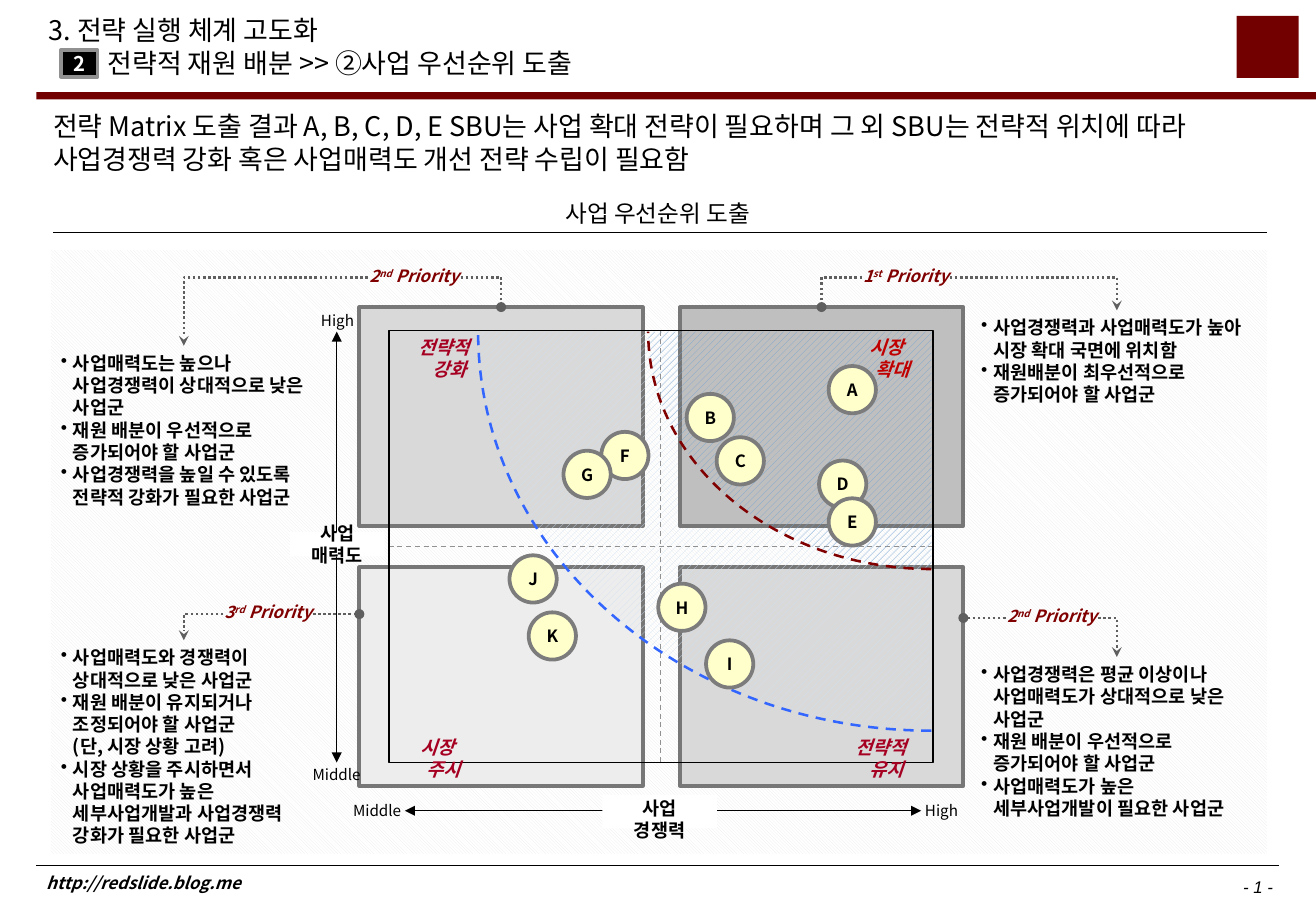
import copy
from dataclasses import dataclass

import pptx
import pptx.dml.color
import pptx.enum.dml
import pptx.enum.shapes
import pptx.enum.text
import pptx.oxml.ns
import pptx.util
from lxml import etree

Pt = pptx.util.Pt
qn = pptx.oxml.ns.qn
SHAPE = pptx.enum.shapes.MSO_SHAPE
LINK = pptx.enum.shapes.MSO_CONNECTOR
DASH = pptx.enum.dml.MSO_LINE
PATTERN = pptx.enum.dml.MSO_PATTERN
ALIGN = pptx.enum.text.PP_ALIGN
ANCHOR = pptx.enum.text.MSO_ANCHOR
FONT = "Noto Sans CJK KR"
TOP, LEFT, BOTTOM, RIGHT = range(4)


@dataclass
class Label:
    text: str
    box: tuple
    fmt: dict
    fill: str = ""
    hang: float = 0


@dataclass
class Priority:
    text: str
    x: float
    mid: float
    w: float
    left: tuple  # x, y, arrowhead
    right: tuple


@dataclass
class Notes:
    box: tuple
    items: list


def rgb(color: str):
    return pptx.dml.color.RGBColor.from_string(color)


def fmt(size: float, color: str = "000000", **extra) -> dict:
    return {"size": Pt(size), "name": FONT, "color": color, **extra}


def write(sp, paras: list, style: dict, align=ALIGN.LEFT, anchor=ANCHOR.TOP, inset=(0, 0),
          wrap: bool = True, indents: tuple = ((0, 0),), bullet: bool = False, spacing: float = 1.0):
    """Fill a shape; text between ^ marks is superscript, paragraphs starting with ( have no bullet."""
    tf = sp.text_frame
    dx, dy = inset
    values = {"word_wrap": wrap, "vertical_anchor": anchor, "margin_left": Pt(dx),
              "margin_right": Pt(dx), "margin_top": Pt(dy), "margin_bottom": Pt(dy),
              "auto_size": pptx.enum.text.MSO_AUTO_SIZE.NONE}
    for name, value in values.items():
        setattr(tf, name, value)
    for i, text in enumerate(paras):
        p = tf.paragraphs[0] if i == 0 else tf.add_paragraph()
        p.alignment, p.line_spacing = align, spacing
        p.space_before = p.space_after = Pt(0)
        margin, indent = indents[min(i, len(indents) - 1)]
        marked = bullet and not text.startswith("(")
        pPr = p._p.get_or_add_pPr()
        pPr.set("marL", str(Pt(margin)))
        pPr.set("indent", str(Pt(indent if marked or not bullet else 0)))
        if marked:
            etree.SubElement(pPr, qn("a:buChar")).set("char", "•")
        else:
            etree.SubElement(pPr, qn("a:buNone"))
        for j, part in enumerate(text.split("^")):
            for k, line in enumerate(part.split("\v")):
                if k:
                    p.add_line_break()
                r = p.add_run()
                r.text = line
                for name, value in style.items():
                    if name == "color":
                        r.font.color.rgb = rgb(value)
                    else:
                        setattr(r.font, name, value)
                rPr = r._r.get_or_add_rPr()
                etree.SubElement(rPr, qn("a:ea")).set("typeface", style["name"])
                if j % 2:
                    rPr.set("baseline", "30000")


def paint(sp, fill: str = "", line: str = "", width: float = 2.25):
    sp.shadow.inherit = False
    if fill:
        sp.fill.solid()
        sp.fill.fore_color.rgb = rgb(fill)
    else:
        sp.fill.background()
    if line:
        sp.line.color.rgb, sp.line.width = rgb(line), Pt(width)
    else:
        sp.line.fill.background()


def add_box(s, box: tuple, fill: str = "", line: str = "", width: float = 2.25, kind=SHAPE.RECTANGLE):
    sp = s.shapes.add_shape(kind, *map(Pt, box))
    paint(sp, fill, line, width)
    return sp


def add_text(s, box: tuple, paras: list, style: dict, **layout):
    sp = s.shapes.add_textbox(*map(Pt, box))
    write(sp, paras, style, **layout)
    return sp


def hatch(sp, pattern, fore: str, back: str = "FFFFFF", clear: bool = False):
    sp.fill.patterned()
    sp.fill.pattern = pattern
    sp.fill.fore_color.rgb, sp.fill.back_color.rgb = rgb(fore), rgb(back)
    if clear:
        color = sp._element.spPr.find(".//" + qn("a:bgClr"))[0]
        etree.SubElement(color, qn("a:alpha")).set("val", "0")


def add_line(s, start: tuple, end: tuple, color: str = "000000", width: float = 0.75,
             dash=None, head: str = "", tail: str = ""):
    bent = start[0] != end[0] and start[1] != end[1]
    c = s.shapes.add_connector(LINK.ELBOW if bent else LINK.STRAIGHT, *map(Pt, start + end))
    spPr = c._element.spPr
    if bent:
        spPr.find(qn("a:prstGeom")).set("prst", "bentConnector2")
    c.line.color.rgb, c.line.width = rgb(color), Pt(width)
    if dash:
        c.line.dash_style = dash
    ln = spPr.find(qn("a:ln"))
    for tag, kind in (("a:headEnd", head), ("a:tailEnd", tail)):
        if kind:
            etree.SubElement(ln, qn(tag)).set("type", kind)
    etree.SubElement(spPr, qn("a:effectLst"))
    return c


def add_zone(s, corner: tuple, rx: float, ry: float, fore: str, line: str):
    """Hatched quarter ellipse around the top right corner; only its curve is outlined."""
    cx, cy = corner
    fb = s.shapes.build_freeform(Pt(cx), Pt(cy + ry))
    fb.add_line_segments([(Pt(cx - rx), Pt(cy)), (Pt(cx), Pt(cy))], close=True)
    sp = fb.convert_to_shape()
    paint(sp, line=line, width=1.5)
    sp.line.dash_style = DASH.DASH
    hatch(sp, PATTERN.WIDE_UPWARD_DIAGONAL, fore, clear=True)
    area = sp._element.spPr.find(".//" + qn("a:path"))
    w, h = Pt(rx), Pt(ry)
    curve = etree.Element(qn("a:cubicBezTo"))
    for x, y in ((0.448 * w, h), (0, 0.552 * h), (0, 0)):
        pt = etree.SubElement(curve, qn("a:pt"))
        pt.set("x", str(round(x)))
        pt.set("y", str(round(y)))
    area.replace(area[1], curve)
    arc = copy.deepcopy(area)
    for part in arc[2:]:
        arc.remove(part)
    arc.set("fill", "none")
    area.set("stroke", "0")
    area.addprevious(arc)


QUAD_W, QUAD_H = 168, 129.6
COL, ROW = (213, 403), (182.2, 336.2)
FRAME = (230.4, 196, 322.6, 256)
CORNER = (552, 196.6)
BOLD, AXIS, SMALL = fmt(11, bold=True), fmt(11, bold=True), fmt(9)
ZONE = fmt(11, "A50021", bold=True, italic=True)
BUBBLES = {"H": (390.2, 346), "I": (418.5, 379.6), "K": (313.4, 363), "J": (302, 329.2),
           "F": (356.4, 256), "G": (334, 267.2), "A": (491.2, 217), "B": (407, 233.5),
           "C": (424.8, 259.2), "D": (485.5, 273), "E": (491.2, 295.4)}
LABELS = [
    Label("사업\v매력도", (172, 315.4, 56, 14.4), AXIS, "FFFFFF"),
    Label("사업\v경쟁력", (357, 471, 68, 20), AXIS, "FFFFFF"),
    Label("High", (188, 183, 24, 13.6), SMALL),
    Label("Middle", (183, 452.5, 33, 13.6), SMALL),
    Label("전략적\v강화", (236, 199, 54, 27), ZONE, hang=7.2),
    Label("시장\v확대", (504, 199, 43, 27), {**ZONE, "color": "C00000"}, hang=7.2),
    Label("시장\v주시", (238, 436, 43, 27), ZONE, hang=7.2),
    Label("전략적\v유지", (495, 436, 54, 27), ZONE, hang=7.2),
]
PRIORITIES = [
    Priority("1^st^ Priority", 511, 164.4, 52, (487, 182, "oval"), (662, 184, "stealth")),
    Priority("2^nd^ Priority", 218, 164.4, 55, (109, 205, "stealth"), (297, 182, "oval")),
    Priority("3^rd^ Priority", 132.5, 364, 53, (109, 379.5, "stealth"), (213, 364, "oval")),
    Priority("2^nd^ Priority", 596, 366.3, 55, (571, 366.3, "oval"), (662, 389.5, "stealth")),
]
NOTES = [
    Notes((29, 205, 161, 87), ["사업매력도는 높으나 사업경쟁력이 상대적으로 낮은 사업군",
                               "재원 배분이 우선적으로 증가되어야 할 사업군",
                               "사업경쟁력을 높일 수 있도록 전략적 강화가 필요한 사업군"]),
    Notes((574.5, 184, 174, 60), ["사업경쟁력과 사업매력도가 높아 시장 확대 국면에 위치함",
                                  "재원배분이 최우선적으로 증가되어야 할 사업군"]),
    Notes((29, 379.5, 161, 114), ["사업매력도와 경쟁력이 상대적으로 낮은 사업군",
                                  "재원 배분이 유지되거나 조정되어야 할 사업군",
                                  "(단, 시장 상황 고려)",
                                  "시장 상황을 주시하면서 사업매력도가 높은 세부사업개발과 사업경쟁력 강화가 필요한 사업군"]),
    Notes((574.5, 389.5, 174, 87), ["사업경쟁력은 평균 이상이나 사업매력도가 상대적으로 낮은 사업군",
                                    "재원 배분이 우선적으로 증가되어야 할 사업군",
                                    "사업매력도가 높은 세부사업개발이 필요한 사업군"]),
]


def main():
    prs = pptx.Presentation()
    prs.slide_width, prs.slide_height = Pt(780), Pt(540)
    s = prs.slides.add_slide(prs.slide_layouts[1])

    # Title, message and page frame
    title, body = s.placeholders
    for sp, box in ((title, (21.6, 7, 530, 41)), (body, (31.5, 65, 727, 59))):
        sp.left, sp.top, sp.width, sp.height = map(Pt, box)
    write(title, ["3. 전략 실행 체계 고도화", "전략적 재원 배분 >> ②사업 우선순위 도출"], fmt(16),
          anchor=ANCHOR.MIDDLE, inset=(7.2, 3.6), indents=((0, 0), (35, 0)))
    write(body, ["전략 Matrix 도출 결과 A, B, C, D, E SBU는 사업 확대 전략이 필요하며 그 외 SBU는 "
                 "전략적 위치에 따라 사업경쟁력 강화 혹은 사업매력도 개선 전략 수립이 필요함"], fmt(16))
    badge = add_box(s, (36.2, 29.6, 21.6, 16), "000000", "919191")
    write(badge, ["2"], fmt(12, "FFFFFF", bold=True), ALIGN.CENTER, ANCHOR.MIDDLE, wrap=False)
    add_box(s, (21.6, 54.7, 758.4, 4.3), "730000")
    add_box(s, (733, 9.4, 36.7, 36.7), "730000")
    add_line(s, (21.6, 513), (758.2, 513))
    add_text(s, (20.3, 514, 251, 19.4), ["http://redslide.blog.me"],
             fmt(10, bold=True, italic=True), inset=(7.2, 3.6))
    add_text(s, (579.6, 516.2, 182, 16), ["- 1 -"], {**fmt(10, italic=True), "name": "Arial"},
             align=ALIGN.RIGHT, inset=(7.2, 3.6))

    # Chart heading and background
    add_text(s, (31.7, 113.8, 716.4, 24.5), ["사업 우선순위 도출"], fmt(14),
             align=ALIGN.CENTER, anchor=ANCHOR.BOTTOM, inset=(7.2, 3.6))
    add_line(s, (31.7, 137.7), (751, 137.7))
    hatch(add_box(s, (30.2, 148.3, 720.7, 357.8)), PATTERN.LIGHT_DOWNWARD_DIAGONAL, "EAEAEA")

    # Matrix quadrants, zones and frame
    for col, row, color in ((0, 1, "EDEDED"), (0, 0, "D9D9D9"), (1, 1, "D9D9D9")):
        add_box(s, (COL[col], ROW[row], QUAD_W, QUAD_H), color, "777777")
    add_zone(s, CORNER, 268.6, 236.5, "D1E0F0", "3366FF")
    x, y, w, h = FRAME
    middle = add_line(s, (x + w / 2, y), (x + w / 2, y + h), "919191", dash=DASH.DASH)
    center = add_line(s, (x, y + h / 2), (x + w, y + h / 2), "919191", dash=DASH.DASH)
    add_box(s, (COL[1], ROW[0], QUAD_W, QUAD_H), "BFBFBF", "777777")
    add_zone(s, CORNER, 167.8, 140.7, "75A3D1", "800000")
    frame = add_box(s, FRAME, line="000000", width=1)
    for c, start, end in ((middle, TOP, BOTTOM), (center, LEFT, RIGHT)):
        c.begin_connect(frame, start)
        c.end_connect(frame, end)

    # Axes and labels
    low, high = (add_text(s, (bx, 474, bw, 13.2), [text], SMALL, align=ALIGN.CENTER,
                          anchor=ANCHOR.MIDDLE, wrap=False)
                 for text, bx, bw in (("Middle", 207, 33), ("High", 546, 24)))
    add_line(s, (199.6, 196.6), (199.6, 452), head="triangle", tail="triangle")
    axis = add_line(s, (240, 480.6), (546, 480.6), head="triangle", tail="triangle")
    axis.begin_connect(low, RIGHT)
    axis.end_connect(high, LEFT)
    for lab in LABELS:
        sp = add_box(s, lab.box, lab.fill)
        anchor = ANCHOR.TOP if lab.hang or "경쟁력" in lab.text else ANCHOR.MIDDLE
        write(sp, [lab.text], lab.fmt, ALIGN.CENTER, anchor, wrap=False, inset=(0, 0 if lab.hang else 1.4),
              indents=((lab.hang, -lab.hang),))

    # Business units
    for name, pos in BUBBLES.items():
        sp = add_box(s, pos + (28, 28), "FFFFCC", "7C7C7C", kind=SHAPE.OVAL)
        write(sp, [name], fmt(10, bold=True), ALIGN.CENTER, ANCHOR.MIDDLE, wrap=False)

    # Priorities with their leaders, and notes
    for pr in PRIORITIES:
        sp = add_text(s, (pr.x, pr.mid - 8, pr.w, 16), [pr.text],
                      fmt(10, "800000", bold=True, italic=True), spacing=0.8,
                      align=ALIGN.CENTER, anchor=ANCHOR.MIDDLE, wrap=False)
        for x0, side, (x1, y1, tip) in ((pr.x, LEFT, pr.left), (pr.x + pr.w, RIGHT, pr.right)):
            c = add_line(s, (x0, pr.mid), (x1, y1), "5F5F5F", 1.5, DASH.ROUND_DOT, tail=tip)
            if y1 == pr.mid:
                c.begin_connect(sp, side)
    for n in NOTES:
        add_text(s, n.box, n.items, BOLD, inset=(7.2, 3.6), indents=((7.2, -7.2),), bullet=True)

    prs.save("out.pptx")


if __name__ == "__main__":
    main()
